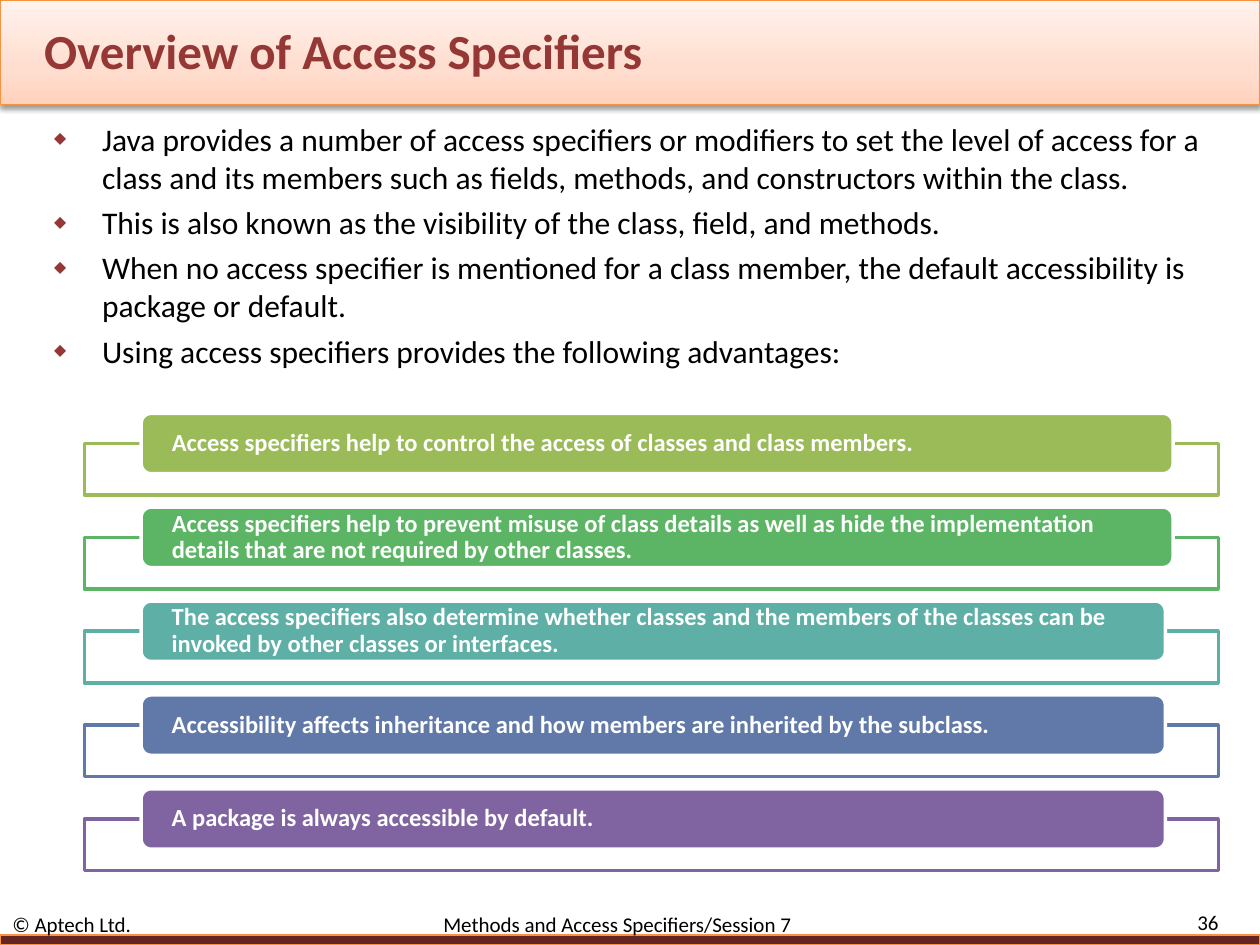
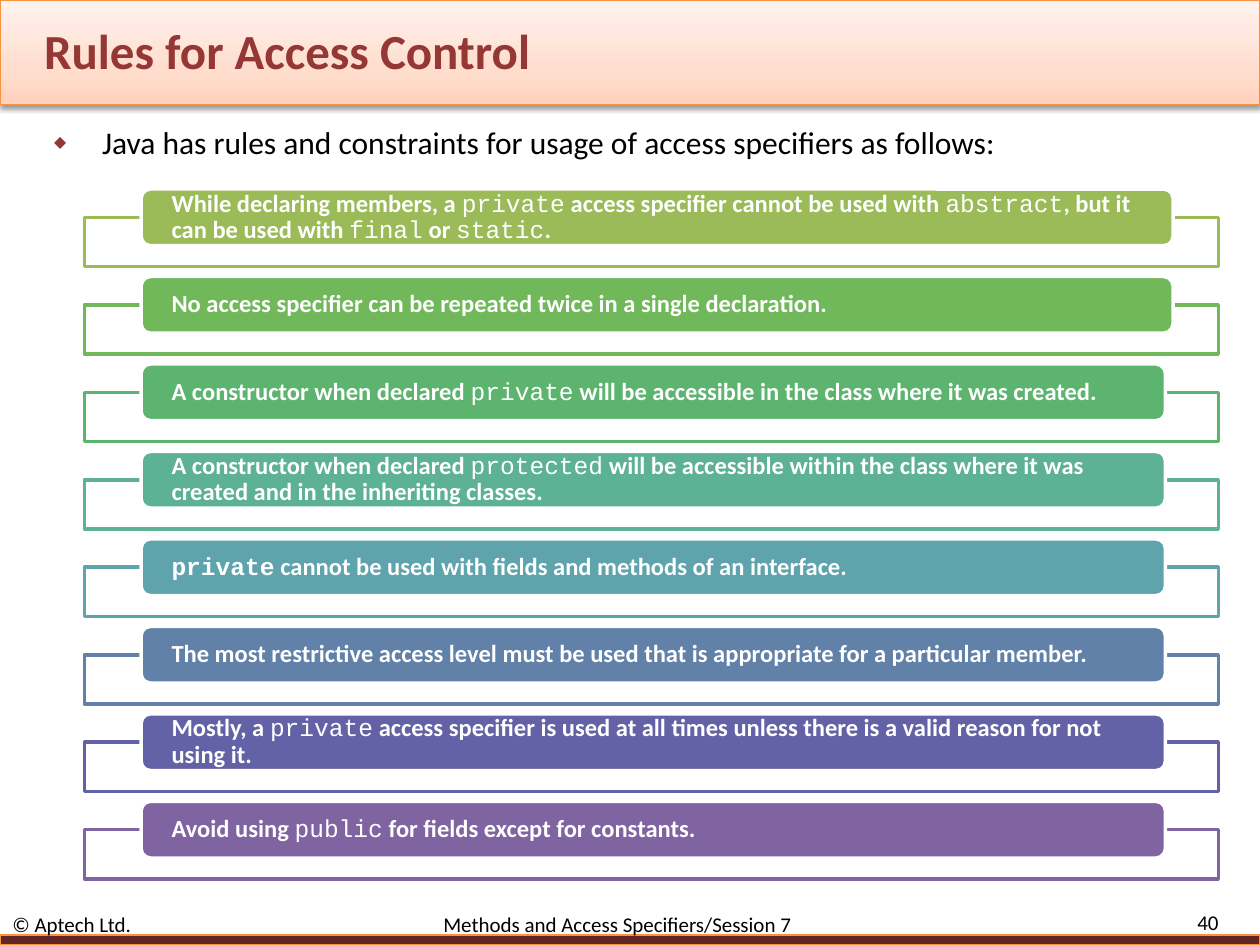
"""Build two slides on Java access specifiers."""
from dataclasses import dataclass

import pptx
import pptx.dml.color
import pptx.enum.shapes
import pptx.enum.text
import pptx.oxml.ns
import pptx.util
from lxml import etree

Inches = pptx.util.Inches
Pt = pptx.util.Pt
qn = pptx.oxml.ns.qn
MIDDLE = pptx.enum.text.MSO_ANCHOR.MIDDLE
LEFT = pptx.enum.text.PP_ALIGN.LEFT
RIGHT = pptx.enum.text.PP_ALIGN.RIGHT
FIXED = pptx.enum.text.MSO_AUTO_SIZE.NONE
GROW = pptx.enum.text.MSO_AUTO_SIZE.SHAPE_TO_FIT_TEXT
RECT = pptx.enum.shapes.MSO_SHAPE.RECTANGLE
ROUNDED = pptx.enum.shapes.MSO_SHAPE.ROUNDED_RECTANGLE


@dataclass(frozen=True)
class Theme:
    """Colours, fonts and type sizes of both slides."""
    font: str = "Calibri"
    code_font: str = "Courier New"
    title_size: int = 28
    body_size: int = 18
    card_size: int = 14
    footer_size: int = 12
    title: str = "953735"
    dark: str = "632523"
    bullet: str = "973735"
    band_line: str = "F69240"
    text: str = "000000"
    white: str = "FFFFFF"
    header_stops: tuple = ((0, "FFD2BD"), (35, "FFDED0"), (100, "FFF2ED"))


THEME = Theme()

OVERVIEW_POINTS = [
    "Java provides a number of access specifiers or modifiers to set the level of access for a "
    "class and its members such as fields, methods, and constructors within the class.",
    "This is also known as the visibility of the class, field, and methods.",
    "When no access specifier is mentioned for a class member, the default accessibility is "
    "package or default.",
    "Using access specifiers provides the following advantages:",
]
ADVANTAGES = [
    ("9BBB59", "Access specifiers help to control the access of classes and class members."),
    ("5CB565", "Access specifiers help to prevent misuse of class details as well as hide the "
               "implementation details that are not required by other classes."),
    ("5EAFA6", "The access specifiers also determine whether classes and the members of the "
               "classes can be invoked by other classes or interfaces."),
    ("6179A8", "Accessibility affects inheritance and how members are inherited by the subclass."),
    ("8064A2", "A package is always accessible by default."),
]
RULES_POINTS = ["Java has rules and constraints for usage of access specifiers as follows:"]
RULES = [
    ("9BBB59", "While declaring members, a `private` access specifier cannot be used with "
               "`abstract`, but it can be used with `final` or `static`."),
    ("70B85A", "No access specifier can be repeated twice in a single declaration."),
    ("5CB46F", "A constructor when declared `private` will be accessible in the class where it "
               "was created."),
    ("5DB195", "A constructor when declared `protected` will be accessible within the class "
               "where it was created and in the inheriting classes."),
    ("5FA4AD", "`private` cannot be used with fields and methods of an interface."),
    ("6181A9", "The most restrictive access level must be used that is appropriate for a "
               "particular member."),
    ("6362A6", "Mostly, a `private` access specifier is used at all times unless there is a "
               "valid reason for not using it."),
    ("8064A2", "Avoid using `public` for fields except for constants."),
]


def rgb(code):
    """Turn a hex code into a colour."""
    return pptx.dml.color.RGBColor.from_string(code)


def add_xml(parent, tag, **attributes):
    """Append a DrawingML element to its parent."""
    return etree.SubElement(parent, qn(tag), {key: str(value) for key, value in attributes.items()})


def place(shape, left, top, width, height):
    """Move and size a shape in inches."""
    shape.left, shape.top = Inches(left), Inches(top)
    shape.width, shape.height = Inches(width), Inches(height)


def add_run(paragraph, text, size, color, bold=False, font=THEME.font):
    """Add one formatted run."""
    run = paragraph.add_run()
    run.text = text
    run.font.name, run.font.size, run.font.bold = font, Pt(size), bold
    run.font.color.rgb = rgb(color)
    return run


def set_frame(frame, auto_size, anchor=None, side=0.1, edge=0.0):
    """Set wrapping, fitting, anchor and insets of a text frame."""
    frame.word_wrap, frame.auto_size = True, auto_size
    if anchor is not None:
        frame.vertical_anchor = anchor
    frame.margin_left = frame.margin_right = Inches(side)
    frame.margin_top = frame.margin_bottom = Inches(edge)


def add_block(slide, kind, box, fill, line, weight):
    """Add a filled and outlined preset shape."""
    block = slide.shapes.add_shape(kind, *map(Inches, box))
    block.shadow.inherit = False
    block.fill.solid()
    block.fill.fore_color.rgb = rgb(fill)
    block.line.color.rgb = rgb(line)
    block.line.width = Pt(weight)
    return block


def add_band(slide, layout, box, fill, alpha, distance):
    """Put a shadowed band behind everything on the shared layout."""
    band = add_block(slide, RECT, box, fill, THEME.band_line, 0.75)
    effects = band.element.spPr.find(qn("a:effectLst"))
    shadow = add_xml(effects, "a:outerShdw", blurRad=Pt(3.1), dist=Pt(distance),
                     dir=5400000, rotWithShape=0)
    color = add_xml(shadow, "a:srgbClr", val=THEME.text)
    add_xml(color, "a:alpha", val=alpha * 1000)
    layout.shapes.element.insert(2, band.element)
    return band


def add_shared_bands(slide, layout):
    """Draw the header and footer bands once for all slides."""
    add_band(slide, layout, (0, 7.42, 10, 0.08), THEME.dark, 35, 1.8)
    header = add_band(slide, layout, (0, 0, 10, 0.83), THEME.white, 38, 1.6)
    header.fill.gradient()
    header.fill.gradient_angle = 90
    stops = header.element.spPr.find(qn("a:gradFill")).find(qn("a:gsLst"))
    for stop in list(stops):
        stops.remove(stop)
    for position, color in THEME.header_stops:
        add_xml(add_xml(stops, "a:gs", pos=position * 1000), "a:srgbClr", val=color)


def set_title(slide, text):
    """Fill the title placeholder."""
    title = slide.shapes.title
    place(title, 0.25, 0.17, 8.33, 0.45)
    set_frame(title.text_frame, FIXED, MIDDLE)
    paragraph = title.text_frame.paragraphs[0]
    paragraph.alignment = LEFT
    run = add_run(paragraph, text, THEME.title_size, THEME.title, True)
    outline = etree.Element(qn("a:ln"), w=str(Pt(0.75)))
    add_xml(add_xml(outline, "a:solidFill"), "a:srgbClr", val=THEME.dark)
    run.font._element.insert(0, outline)


def set_points(slide, points, top, height):
    """Fill the body placeholder with diamond bullets."""
    body = slide.placeholders[1]
    place(body, 0.33, top, 9.42, height)
    set_frame(body.text_frame, GROW, edge=0.05)
    for index, point in enumerate(points):
        paragraph = body.text_frame.paragraphs[0] if index == 0 else body.text_frame.add_paragraph()
        properties = paragraph._p.get_or_add_pPr()
        properties.set("marL", str(Inches(0.38)))
        properties.set("indent", str(-Inches(0.38)))
        add_xml(add_xml(properties, "a:buClr"), "a:srgbClr", val=THEME.bullet)
        add_xml(properties, "a:buSzPct", val=50000)
        add_xml(properties, "a:buFont", typeface=THEME.font)
        add_xml(properties, "a:buChar", char="◆")
        paragraph.space_before = Pt(4.4 if index else 0)
        add_run(paragraph, point, THEME.body_size, THEME.text)


def add_footer(slide, number):
    """Add the copyright, session and slide number line."""
    boxes = (((0, 7.25, 8.83, 0.17), LEFT, "© Aptech Ltd.\tMethods and Access Specifiers/Session 7"),
             ((8.92, 7.23, 0.85, 0.18), RIGHT, str(number)))
    for box, alignment, text in boxes:
        footer = slide.shapes.add_textbox(*map(Inches, box))
        set_frame(footer.text_frame, FIXED, MIDDLE)
        paragraph = footer.text_frame.paragraphs[0]
        paragraph.alignment = alignment
        if "\t" in text:
            tabs = add_xml(paragraph._p.get_or_add_pPr(), "a:tabLst")
            add_xml(tabs, "a:tab", pos=Inches(3.42), algn="l")
        add_run(paragraph, text, THEME.footer_size, THEME.text)


def add_card(slide, color, text, top, width, label_height, frame_height):
    """Add an open frame with a label; backticks mark code words."""
    frame = add_block(slide, RECT, (0.67, top + label_height / 2, 9, frame_height),
                      THEME.white, color, 2)
    add_xml(frame.element.spPr.find(qn("a:solidFill"))[0], "a:alpha", val=90000)
    label = add_block(slide, ROUNDED, (1.12, top, width, label_height), color, THEME.white, 2)
    set_frame(label.text_frame, FIXED, MIDDLE, side=0.22)
    paragraph = label.text_frame.paragraphs[0]
    paragraph.alignment, paragraph.line_spacing = LEFT, 0.9
    for index, part in enumerate(text.split("`")):
        is_code = index % 2 == 1
        opens_text = text.startswith("`") and index == 1
        if part:
            add_run(paragraph, part, THEME.card_size, THEME.white, not is_code or opens_text,
                    THEME.code_font if is_code else THEME.font)


def add_cards(slide, cards, first_top, last_top, label_height, frame_height):
    """Stack cards evenly between two tops."""
    pitch = (last_top - first_top) / (len(cards) - 1)
    for index, (color, text) in enumerate(cards):
        width = 8.19 if index < 2 else 8.13
        add_card(slide, color, text, first_top + index * pitch, width, label_height, frame_height)


def add_slide(deck, layout, title, number, points, points_box, cards, card_grid):
    """Add one slide with title, bullets, cards and footer."""
    slide = deck.slides.add_slide(layout)
    set_title(slide, title)
    add_footer(slide, number)
    set_points(slide, points, *points_box)
    add_cards(slide, cards, *card_grid)
    return slide


def main():
    """Build and save the deck."""
    deck = pptx.Presentation()
    deck.slide_width, deck.slide_height = Inches(10), Inches(7.5)
    layout = deck.slide_layouts[1]
    overview = add_slide(deck, layout, "Overview of Access Specifiers", 36, OVERVIEW_POINTS,
                         (0.9, 2.1), ADVANTAGES, (3.28, 6.26, 0.48, 0.41))
    add_shared_bands(overview, layout)
    add_slide(deck, layout, "Rules for Access Control", 40, RULES_POINTS,
              (0.93, 0.4), RULES, (1.5, 6.36, 0.45, 0.39))
    deck.save("out.pptx")


if __name__ == "__main__":
    main()
